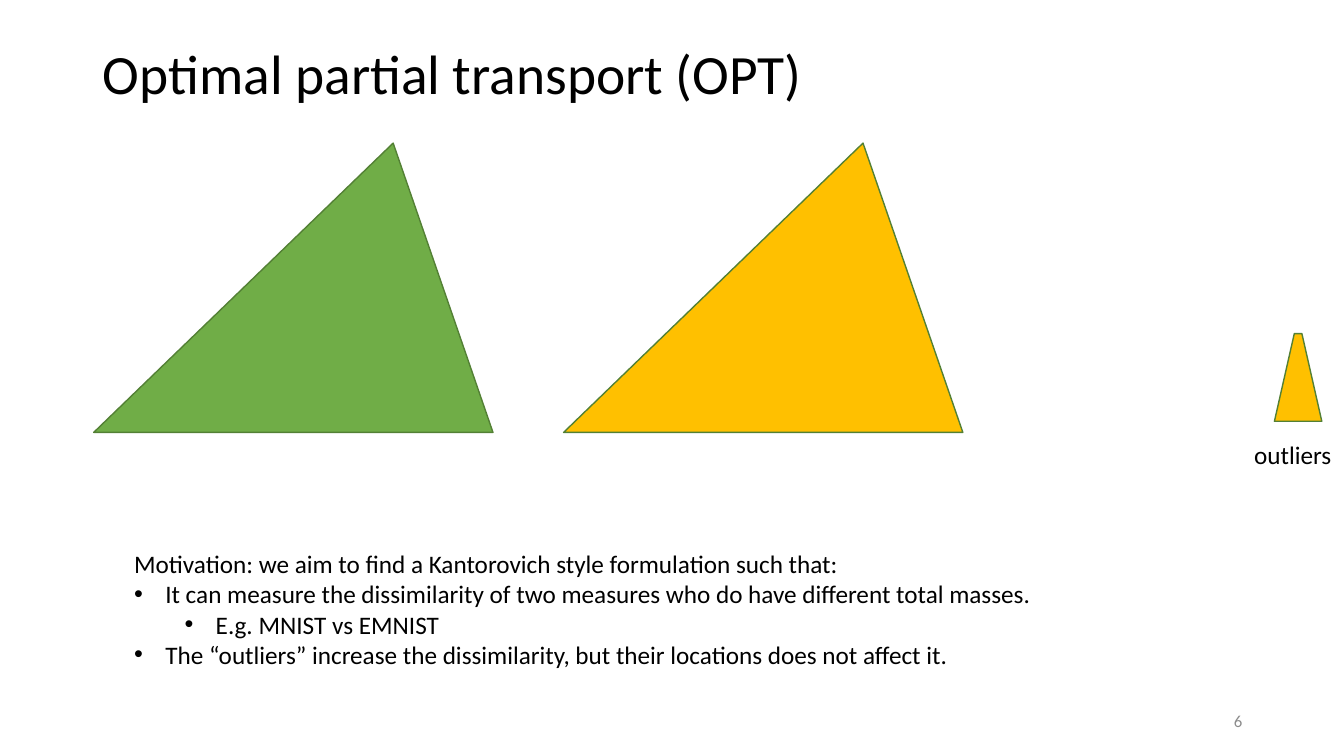
from lxml.etree import SubElement as Sub
from pptx import Presentation
from pptx.dml.color import RGBColor as RGB
from pptx.enum.shapes import MSO_SHAPE as Shape
from pptx.enum.text import MSO_ANCHOR as Anchor, MSO_AUTO_SIZE as Fit, PP_ALIGN as Align
from pptx.oxml.ns import qn
from pptx.util import Pt

PX = 9144  # EMU per px, 100 px to the inch
INK = {"text": "000000", "page": "8C8C8C", "green": "70AD47",
       "gold": "FFC000", "edge": "538035"}
MOTIVE = [
    ("Motivation: we aim to find a Kantorovich style formulation such that:", None),
    ("It can measure the dissimilarity of two measures who do have different total masses.", 0),
    ("E.g. MNIST vs EMNIST", 1),
    ("The “outliers” increase the dissimilarity, but their locations does not affect it.", 0),
]


def emu(*box):
    return [n * PX for n in box]


def place(item, *box):
    item.left, item.top, item.width, item.height = emu(*box)


def mark(para, level):
    """Set the bullet and indent; None means no bullet."""
    props = para._p.get_or_add_pPr()
    if level is None:
        props.set("marL", "0")
        props.set("indent", "0")
        Sub(props, qn("a:buNone"))
        return
    para.level = level
    props.set("marL", str((31 + 50 * level) * PX))
    props.set("indent", str(-31 * PX))
    Sub(props, qn("a:buFont")).set("typeface", "Arial")
    Sub(props, qn("a:buChar")).set("char", "•")


def write(frame, lines, size=18, color="text", align=Align.LEFT,
          anchor=Anchor.TOP, wrap=True, space=1.0):
    frame.auto_size = Fit.NONE
    frame.word_wrap = wrap
    frame.vertical_anchor = anchor
    for i, (words, level) in enumerate(lines):
        para = frame.add_paragraph() if i else frame.paragraphs[0]
        mark(para, level)
        para.alignment = align
        para.line_spacing = space
        para.space_before = Pt(0)
        run = para.add_run()
        run.text = words
        run.font.name = "Calibri"
        run.font.size = Pt(size)
        run.font.color.rgb = RGB.from_string(INK[color])


def label(slide, box, words, **style):
    write(slide.shapes.add_textbox(*emu(*box)).text_frame, [(words, None)], **style)


def draw(slide, kind, box, fill, adjust):
    shape = slide.shapes.add_shape(kind, *emu(*box))
    shape.adjustments[0] = adjust
    shape.shadow.inherit = False
    shape.fill.solid()
    shape.fill.fore_color.rgb = RGB.from_string(INK[fill])
    shape.line.color.rgb = RGB.from_string(INK["edge"])
    shape.line.width = Pt(1)


def main():
    deck = Presentation()
    deck.slide_width, deck.slide_height = emu(1333, 750)
    slide = deck.slides.add_slide(deck.slide_layouts[1])

    # Title
    title = slide.shapes.title
    place(title, 92, 40, 1142, 72)
    write(title.text_frame, [("Optimal partial transport (OPT)", None)],
          size=39.6, anchor=Anchor.MIDDLE, space=0.9)

    # The two measures and the outlier mass
    for left, fill in ((93, "green"), (559, "gold")):
        draw(slide, Shape.ISOSCELES_TRIANGLE, (left, 142, 396, 287), fill, 0.75)
    draw(slide, Shape.TRAPEZOID, (1264, 331, 47, 87), "gold", 0.42)
    label(slide, (1234, 431, 98, 40), "outliers", wrap=False)

    # Motivation list
    body = slide.placeholders[1]
    place(body, 123, 539, 967, 162)
    write(body.text_frame, MOTIVE)

    # Page number
    label(slide, (942, 695, 300, 40), "6", size=12, color="page",
          align=Align.RIGHT, anchor=Anchor.MIDDLE)

    deck.save("out.pptx")


if __name__ == "__main__":
    main()
